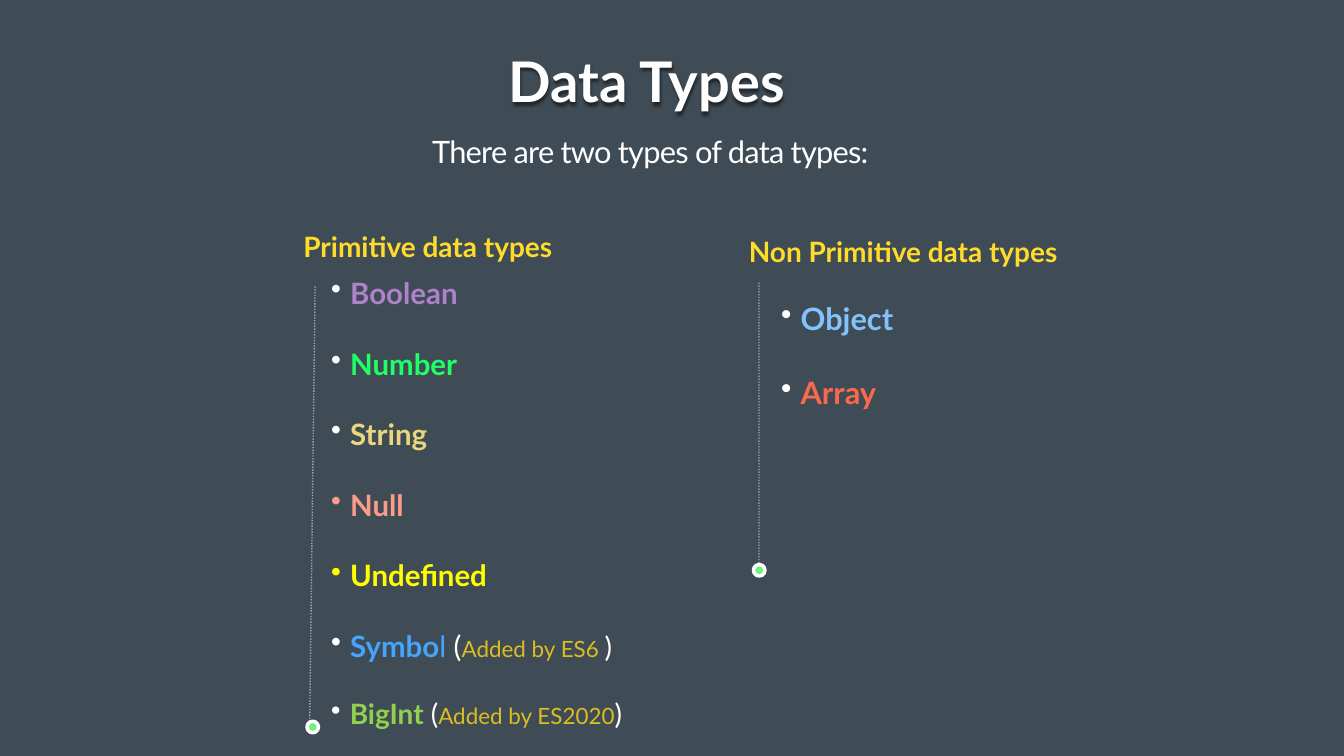
"""Build the Data Types slide with its primitive and non-primitive branches."""
from dataclasses import dataclass

from lxml.etree import SubElement
from pptx import Presentation
from pptx.dml.color import RGBColor
from pptx.enum.dml import MSO_LINE
from pptx.enum.shapes import MSO_CONNECTOR, MSO_SHAPE
from pptx.enum.text import MSO_ANCHOR, MSO_AUTO_SIZE, PP_ALIGN
from pptx.oxml.ns import qn
from pptx.util import Cm, Pt

FONT = "Lato"
WHITE = "FFFFFF"
HEADING = "FFDB2C"
NOTE = "DCBD23"
DOT = "73F17A"
DOT_SIZE = 0.58
HANG = 0.58
LINE_HEIGHT = 1.2

Box = tuple[float, float, float, float]
Point = tuple[float, float]


@dataclass
class Phrase:
    text: str
    color: str = WHITE
    bold: bool = False
    size: float | None = None


@dataclass
class Item:
    phrases: list[Phrase]
    size: float


@dataclass
class Branch:
    heading: str
    heading_box: Box
    items: list[Item]
    items_box: Box
    stem_start: Point
    stem_end: Point
    dot: Point


def named(name: str, color: str, size: float, bullet: str = WHITE) -> Item:
    return Item([Phrase(" ", bullet), Phrase(name, color, True)], size)


def added(name: list[Phrase], note: str, size: float) -> Item:
    return Item([Phrase(" "), *name, Phrase(" ("), Phrase(note, NOTE, size=32),
                 Phrase(")", size=40)], size)


PRIMITIVE = Branch(
    "Primitive data types", (15.09, 11.25, 13.87, 2.13),
    [
        named("Boolean", "AF82CC", 42),
        named("Number", "1FFF66", 42),
        named("String", "EAD77B", 42),
        named("Null", "FB9B89", 42, "FB9B89"),
        named("Undefined", "FFFF00", 42, "FFFF00"),
        added([Phrase("Symbo", "45A4FC", True), Phrase("l", "45A4FC")], "Added by ES6 ", 42),
        added([Phrase("BigInt", "92D050", True)], "Added by ES2020", 40),
    ],
    (16.69, 13.87, 41.55, 23.16), (15.6, 36.93), (15.88, 14.43), (15.47, 36.35),
)
NON_PRIMITIVE = Branch(
    "Non Primitive data types", (37.54, 11.51, 17.04, 2.13),
    [named("Object", "83C2FD", 44), named("Array", "FA694E", 44)],
    (39.37, 15.11, 12.37, 7.52), (38.25, 28.8), (38.25, 14.22), (37.97, 28.45),
)


def paint(color_format, color: str) -> None:
    color_format.rgb = RGBColor.from_string(color)


def add_text(paragraph, text: str, *, size: float, color: str = WHITE,
             bold: bool = False, tracking: float = 0) -> None:
    run = paragraph.add_run()
    run.text = text
    run.font.name = FONT
    run.font.size = Pt(size)
    run.font.bold = bold
    run.font.fill.solid()
    paint(run.font.fill.fore_color, color)
    if tracking:
        run._r.get_or_add_rPr().set("spc", str(round(tracking * 100)))


def place(shape, box: Box) -> None:
    shape.left, shape.top, shape.width, shape.height = map(Cm, box)


def set_frame(shape, inset: float = 0, wrap: bool = True, anchor=MSO_ANCHOR.MIDDLE):
    frame = shape.text_frame
    frame.margin_left = frame.margin_right = frame.margin_top = frame.margin_bottom = Cm(inset)
    frame.word_wrap = wrap
    frame.auto_size = MSO_AUTO_SIZE.SHAPE_TO_FIT_TEXT
    frame.vertical_anchor = anchor
    return frame


def add_box(slide, box: Box, **frame_format):
    return set_frame(slide.shapes.add_textbox(*map(Cm, box)), **frame_format)


def add_title(slide, text: str) -> None:
    title = slide.shapes.title
    place(title, (6.93, 2.31, 51.33, 3.43))
    paragraph = set_frame(title).paragraphs[0]
    paragraph.alignment = PP_ALIGN.CENTER
    add_text(paragraph, text, size=80, bold=True)
    effects = SubElement(title._element.spPr, qn("a:effectLst"))
    shadow = SubElement(effects, qn("a:outerShdw"), blurRad="50800", dist="50800", dir="5400000")
    black = SubElement(shadow, qn("a:srgbClr"), val="000000")
    SubElement(black, qn("a:alpha"), val="50000")


def add_bullet(paragraph) -> None:
    properties = paragraph._p.get_or_add_pPr()
    properties.set("marL", str(Cm(HANG)))
    properties.set("indent", str(-Cm(HANG)))
    SubElement(properties, qn("a:buChar"), char="•")


def add_items(slide, items: list[Item], box: Box) -> None:
    frame = add_box(slide, box, anchor=MSO_ANCHOR.TOP)
    for index, item in enumerate(items):
        paragraph = frame.add_paragraph() if index else frame.paragraphs[0]
        if index:
            paragraph.space_before = Pt(item.size * LINE_HEIGHT)
        add_bullet(paragraph)
        for phrase in item.phrases:
            add_text(paragraph, phrase.text, size=phrase.size or item.size,
                     color=phrase.color, bold=phrase.bold)


def add_stem(slide, start: Point, end: Point) -> None:
    stem = slide.shapes.add_connector(MSO_CONNECTOR.STRAIGHT, *map(Cm, start + end))
    stem.line.width = Pt(2)
    paint(stem.line.color, WHITE)
    stem.line.dash_style = MSO_LINE.ROUND_DOT
    white = stem._element.spPr.find(".//" + qn("a:srgbClr"))
    SubElement(white, qn("a:alpha"), val="50000")
    SubElement(stem._element.spPr, qn("a:effectLst"))


def add_dot(slide, corner: Point) -> None:
    dot = slide.shapes.add_shape(MSO_SHAPE.OVAL, *map(Cm, corner + (DOT_SIZE, DOT_SIZE)))
    dot.shadow.inherit = False
    dot.fill.solid()
    paint(dot.fill.fore_color, DOT)
    paint(dot.line.color, WHITE)
    dot.line.width = Pt(5)


def add_branch(slide, branch: Branch) -> None:
    add_stem(slide, branch.stem_start, branch.stem_end)
    add_dot(slide, branch.dot)
    heading = add_box(slide, branch.heading_box, inset=0.2, wrap=False).paragraphs[0]
    heading.line_spacing = 1.1
    add_text(heading, branch.heading, size=40, color=HEADING, bold=True)
    add_items(slide, branch.items, branch.items_box)


def main() -> None:
    deck = Presentation()
    deck.slide_width, deck.slide_height = Cm(67.73), Cm(38.1)
    slide = deck.slides.add_slide(deck.slide_layouts[5])
    slide.background.fill.solid()
    paint(slide.background.fill.fore_color, "404C55")
    add_title(slide, "Data Types")
    subtitle = add_box(slide, (1.93, 6.45, 62.05, 2.29), inset=0.2).paragraphs[0]
    subtitle.alignment = PP_ALIGN.CENTER
    add_text(subtitle, "There are two types of data types: ", size=44, tracking=-1.1)
    for branch in (PRIMITIVE, NON_PRIMITIVE):
        add_branch(slide, branch)
    deck.save("out.pptx")


if __name__ == "__main__":
    main()
